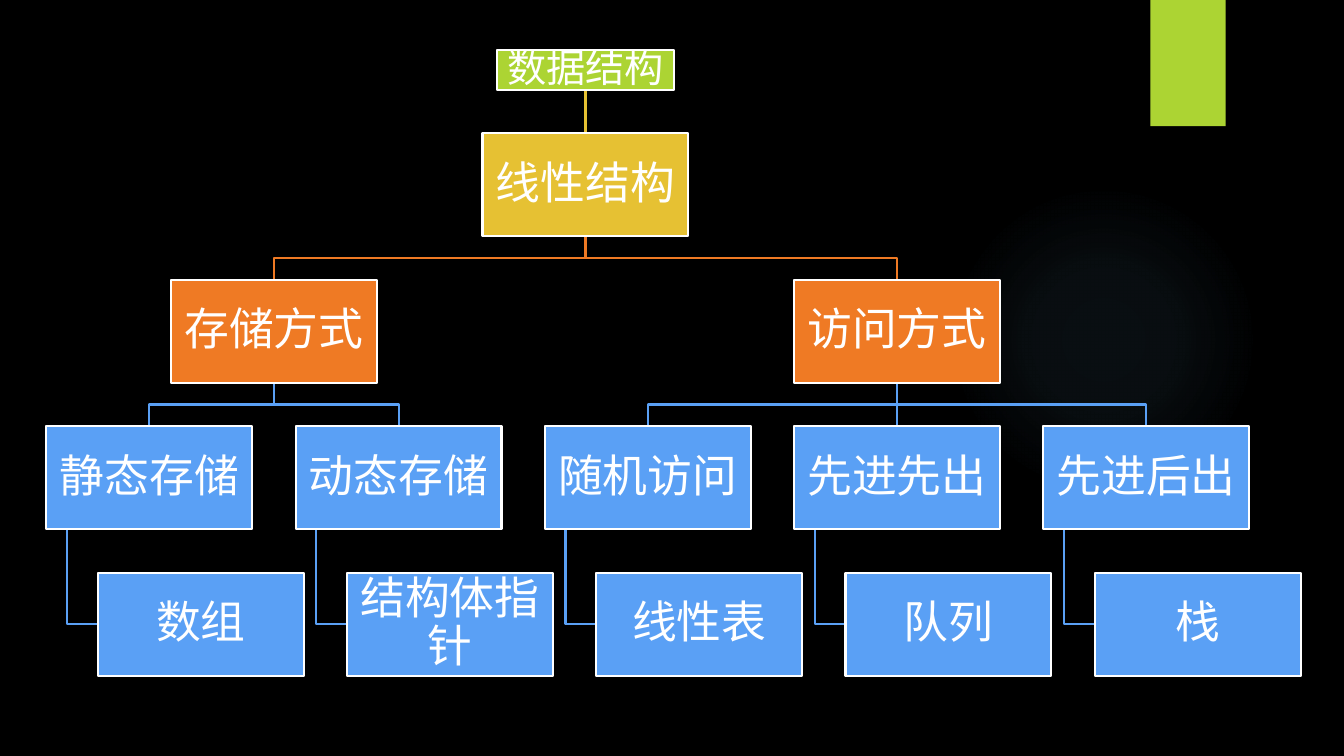
from dataclasses import dataclass

import pptx
import pptx.dml.color
import pptx.enum.shapes
import pptx.enum.text
import pptx.oxml
import pptx.util

Cm = pptx.util.Cm
Pt = pptx.util.Pt
RGBColor = pptx.dml.color.RGBColor
SHAPE = pptx.enum.shapes.MSO_SHAPE

BLACK = RGBColor(0x00, 0x00, 0x00)
WHITE = RGBColor(0xFF, 0xFF, 0xFF)
GREEN = RGBColor(0xAC, 0xD4, 0x33)
GOLD = RGBColor(0xE6, 0xC1, 0x33)
ORANGE = RGBColor(0xEF, 0x7A, 0x24)
BLUE = RGBColor(0x5A, 0xA0, 0xF5)
GLOW = RGBColor(0x7A, 0xC4, 0xF0)

FONT = "TeX Gyre Adventor"
GAP = 1.09
BOX_HEIGHT = 2.6
ROOT_WIDTH, ROOT_HEIGHT = 4.48, 1.0

ROOT = "数据结构"
TRUNK = "线性结构"
BRANCHES = (
    ("存储方式", (("静态存储", "数组"), ("动态存储", "结构体指针"))),
    ("访问方式", (("随机访问", "线性表"), ("先进先出", "队列"), ("先进后出", "栈"))),
)


@dataclass
class Box:
    """A rectangle in centimetres."""
    left: float
    top: float
    width: float
    height: float

    @property
    def center(self):
        return self.left + self.width / 2

    @property
    def bottom(self):
        return self.top + self.height

    def lengths(self):
        return Cm(self.left), Cm(self.top), Cm(self.width), Cm(self.height)


def add_plain_shape(slide, kind, box, color):
    shape = slide.shapes.add_shape(kind, *box.lengths())
    shape.shadow.inherit = False
    shape.fill.solid()
    shape.fill.fore_color.rgb = color
    shape.line.fill.background()
    return shape


def add_glow(slide, box):
    shape = add_plain_shape(slide, SHAPE.OVAL, box, GLOW)
    stops = "".join(
        f'<a:gs pos="{position}000"><a:srgbClr val="{GLOW}">'
        f'<a:alpha val="{opacity}000"/></a:srgbClr></a:gs>'
        for position, opacity in ((0, 7), (36, 6), (69, 0))
    )
    gradient = pptx.oxml.parse_xml(
        '<a:gradFill xmlns:a="http://schemas.openxmlformats.org/drawingml/2006/main">'
        f'<a:gsLst>{stops}</a:gsLst><a:path path="circle">'
        '<a:fillToRect l="50000" t="50000" r="50000" b="50000"/></a:path></a:gradFill>'
    )
    properties = shape._element.spPr
    properties.replace(properties.solidFill, gradient)


def add_node(slide, box, text, color, size=32):
    shape = add_plain_shape(slide, SHAPE.RECTANGLE, box, color)
    shape.line.color.rgb = WHITE
    shape.line.width = Pt(1.5)
    frame = shape.text_frame
    frame.word_wrap = True
    frame.vertical_anchor = pptx.enum.text.MSO_ANCHOR.MIDDLE
    frame.margin_left = frame.margin_right = Cm(0.05)
    frame.margin_top = frame.margin_bottom = Cm(0.05)
    paragraph = frame.paragraphs[0]
    paragraph.alignment = pptx.enum.text.PP_ALIGN.CENTER
    paragraph.line_spacing = 0.9
    run = paragraph.add_run()
    run.text = text
    run.font.name = FONT
    run.font.size = Pt(size)
    run.font.color.rgb = WHITE


def add_bent_line(slide, points, color):
    """Draw a line through the points, straight when there are only two."""
    points = [(Cm(x), Cm(y)) for x, y in points]
    if len(points) == 2:
        straight = pptx.enum.shapes.MSO_CONNECTOR.STRAIGHT
        line = slide.shapes.add_connector(straight, *points[0], *points[1])
        line._element.spPr.append(pptx.oxml.parse_xml(
            '<a:effectLst xmlns:a="http://schemas.openxmlformats.org/drawingml/2006/main"/>'
        ))
    else:
        builder = slide.shapes.build_freeform(*points[0])
        builder.add_line_segments(points[1:], close=False)
        line = builder.convert_to_shape()
        line.fill.background()
        line.shadow.inherit = False
    line.line.color.rgb = color
    line.line.width = Pt(1.5)


def link_down(slide, parent, child, color):
    start, end = (parent.center, parent.bottom), (child.center, child.top)
    middle = (parent.bottom + child.top) / 2
    straight = abs(parent.center - child.center) < 0.01
    bends = [] if straight else [(parent.center, middle), (child.center, middle)]
    add_bent_line(slide, [start, *bends, end], color)


def link_hanging(slide, parent, child, color):
    stem = parent.left + parent.width / 10
    middle = child.top + child.height / 2
    points = [(stem, parent.bottom), (stem, middle), (child.left, middle)]
    add_bent_line(slide, points, color)


def add_tree(slide, area):
    """Fill the area: each parent centred over its children, leaves hung at the right."""
    columns = sum(len(groups) for _, groups in BRANCHES)
    width = (area.width - (columns - 1) * GAP) / (columns + 0.25)
    trunk_top = area.top + ROOT_HEIGHT + GAP

    def level_box(level, center):
        top = trunk_top + level * (BOX_HEIGHT + GAP)
        return Box(center - width / 2, top, width, BOX_HEIGHT)

    nodes, links, branch_boxes = [], [], []
    column = 0
    for branch, groups in BRANCHES:
        group_boxes = []
        for group, leaf in groups:
            center = area.left + width / 2 + column * (width + GAP)
            group_box = level_box(2, center)
            leaf_box = level_box(3, center + width / 4)
            nodes += [(group_box, group, BLUE), (leaf_box, leaf, BLUE)]
            links.append((link_hanging, group_box, leaf_box, BLUE))
            group_boxes.append(group_box)
            column += 1
        branch_box = level_box(1, (group_boxes[0].center + group_boxes[-1].center) / 2)
        nodes.append((branch_box, branch, ORANGE))
        links += [(link_down, branch_box, box, BLUE) for box in group_boxes]
        branch_boxes.append(branch_box)

    trunk_box = level_box(0, (branch_boxes[0].center + branch_boxes[-1].center) / 2)
    root_box = Box(trunk_box.center - ROOT_WIDTH / 2, area.top, ROOT_WIDTH, ROOT_HEIGHT)
    links += [(link_down, trunk_box, box, ORANGE) for box in branch_boxes]
    links.append((link_down, root_box, trunk_box, GOLD))
    nodes += [(trunk_box, TRUNK, GOLD), (root_box, ROOT, GREEN, 28)]

    for link, parent, child, color in links:
        link(slide, parent, child, color)
    for node in nodes:
        add_node(slide, *node)


def main():
    presentation = pptx.Presentation()
    presentation.slide_width = Cm(33.87)
    presentation.slide_height = Cm(19.05)
    slide = presentation.slides.add_slide(presentation.slide_layouts[6])
    slide.background.fill.solid()
    slide.background.fill.fore_color.rgb = BLACK
    add_glow(slide, Box(23.9, 4.65, 7.82, 7.82))
    add_plain_shape(slide, SHAPE.RECTANGLE, Box(28.99, 0, 1.9, 3.18), GREEN)
    add_tree(slide, Box(1.17, 1.27, 31.61, 15.75))
    presentation.save("out.pptx")


if __name__ == "__main__":
    main()
